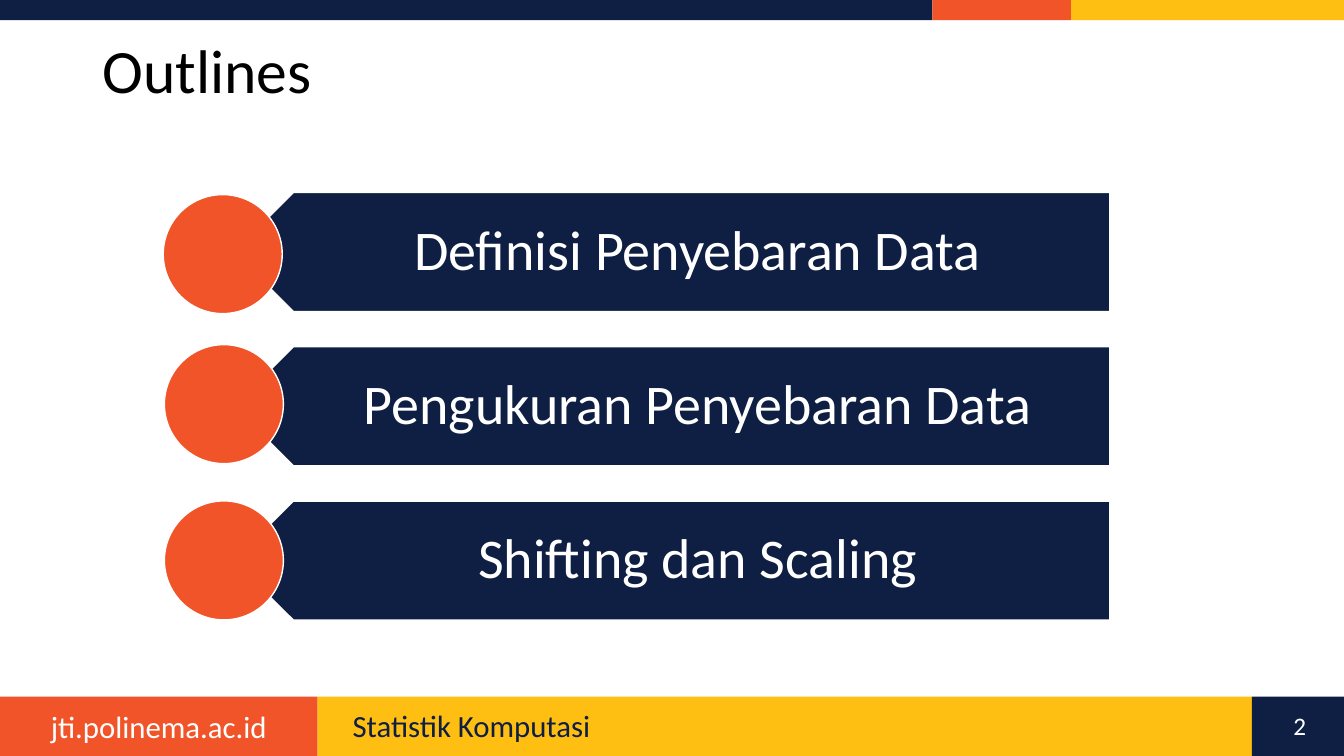
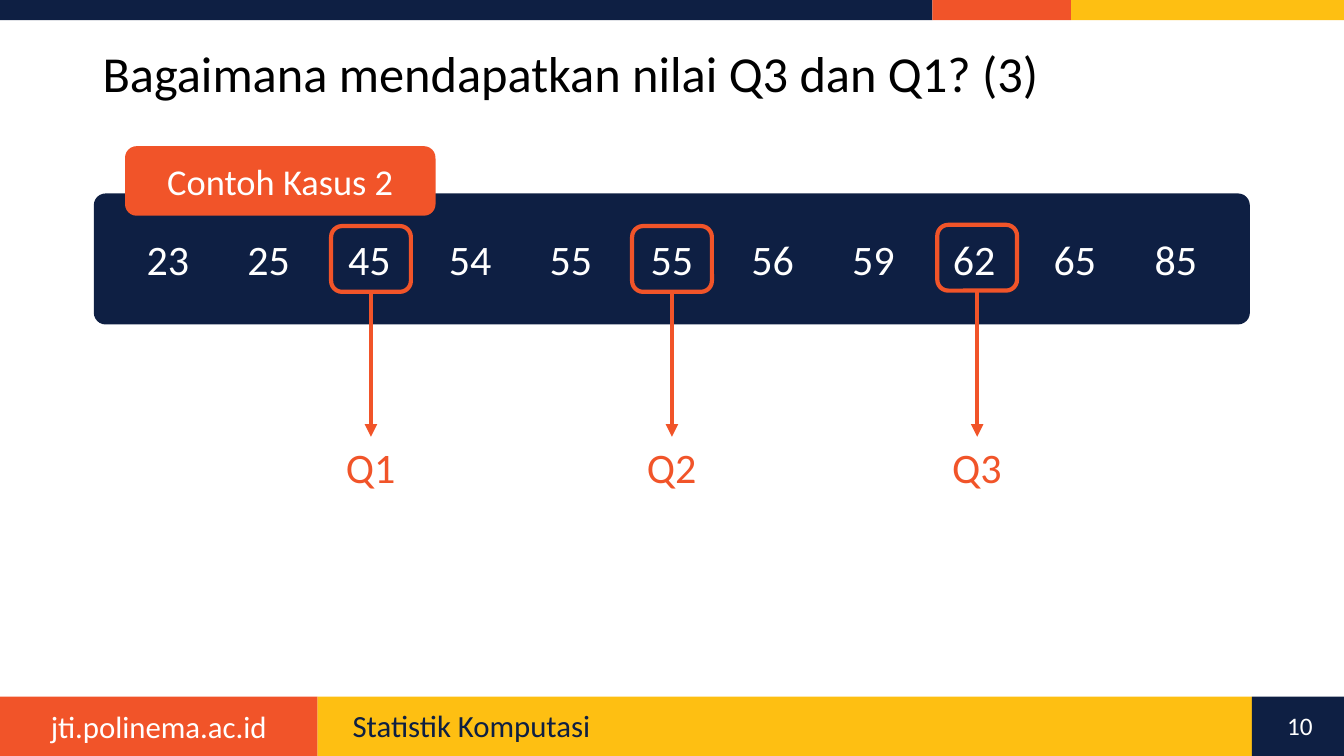
"""Builds two statistics lecture slides: an outline and a quartile example."""
from lxml import etree
from pptx import Presentation
from pptx.dml.color import RGBColor
from pptx.enum.shapes import MSO_CONNECTOR, MSO_SHAPE
from pptx.enum.text import MSO_ANCHOR, PP_ALIGN
from pptx.oxml.ns import qn
from pptx.util import Pt

RECT, ROUNDED = MSO_SHAPE.RECTANGLE, MSO_SHAPE.ROUNDED_RECTANGLE
PLATE, CIRCLE = MSO_SHAPE.PENTAGON, MSO_SHAPE.OVAL
STRAIGHT = MSO_CONNECTOR.STRAIGHT
LEFT, CENTER = PP_ALIGN.LEFT, PP_ALIGN.CENTER
TOP, MIDDLE = MSO_ANCHOR.TOP, MSO_ANCHOR.MIDDLE
NAVY, ORANGE, YELLOW = "0E1F43", "F15429", "FEBF12"
WHITE, BLACK = "FFFFFF", "000000"
FONT = "Calibri"


def add_block(slide, preset, box, fill=None, line=None, weight=1):
    """Add a preset shape with the given fill and outline."""
    block = slide.shapes.add_shape(preset, *map(Pt, box))
    block.shadow.inherit = False
    if fill:
        block.fill.solid()
        block.fill.fore_color.rgb = RGBColor.from_string(fill)
    else:
        block.fill.background()
    if line:
        block.line.color.rgb = RGBColor.from_string(line)
        block.line.width = Pt(weight)
    else:
        block.line.fill.background()
    return block


def write(shape, text, size, color, align=LEFT, anchor=TOP, spacing=1.0, wrap=True, tabs=()):
    """Write one paragraph into a shape or text box."""
    frame = shape.text_frame
    frame.word_wrap = wrap
    frame.vertical_anchor = anchor
    paragraph = frame.paragraphs[0]
    paragraph.alignment = align
    paragraph.line_spacing = spacing
    if tabs:
        stops = etree.SubElement(paragraph._p.get_or_add_pPr(), qn("a:tabLst"))
        for position in tabs:
            etree.SubElement(stops, qn("a:tab"), pos=str(Pt(position)), algn="l")
    run = paragraph.add_run()
    run.text = text
    run.font.name = FONT
    run.font.size = Pt(size)
    run.font.color.rgb = RGBColor.from_string(color)
    return frame


prs = Presentation()
prs.slide_width, prs.slide_height = Pt(960), Pt(540)

BANDS = [
    (0, 0, 666, 14.4, NAVY),
    (666, 0, 99, 14.4, ORANGE),
    (765, 0, 195, 14.4, YELLOW),
    (226.8, 497.5, 667.4, 42.5, YELLOW),
    (0, 497.5, 226.8, 42.5, ORANGE),
    (894.2, 497.5, 65.8, 42.5, NAVY),
]
HEADINGS = [
    ("Outlines", 44, 47.5, "2"),
    ("Bagaimana mendapatkan nilai Q3 dan Q1? (3)", 36, 51, "10"),
]

slides = []
for heading, heading_size, heading_height, number in HEADINGS:
    slide = prs.slides.add_slide(prs.slide_layouts[6])
    slides.append(slide)
    for *box, color in BANDS:
        add_block(slide, RECT, box, color)
    site = slide.shapes.add_textbox(Pt(0), Pt(501.8), Pt(226.8), Pt(33.8))
    write(site, "jti.polinema.ac.id", 22, WHITE, CENTER)
    course = slide.shapes.add_textbox(Pt(244.8), Pt(504), Pt(629.3), Pt(28.8))
    write(course, "Statistik Komputasi", 22, NAVY, spacing=0.9)
    page = slide.shapes.add_textbox(Pt(906.5), Pt(504), Pt(43.9), Pt(28.8))
    write(page, number, 18, WHITE, CENTER)
    title = slide.shapes.add_textbox(Pt(66.2), Pt(28.8), Pt(737.3), Pt(heading_height))
    write(title, heading, heading_size, BLACK, anchor=MIDDLE, spacing=0.9)

outline, quartiles = slides

TOPICS = [
    ("Definisi Penyebaran Data", 116.6, 139),
    ("Pengukuran Penyebaran Data", 117.4, 246.2),
    ("Shifting dan Scaling", 117.4, 357.8),
]
for index, (topic, dot_left, dot_top) in enumerate(TOPICS):
    top = 137.5 + index * 110.2
    plate = add_block(outline, PLATE, (167, top, 625.7, 85), NAVY, WHITE)
    plate.rotation = 180
    label = outline.shapes.add_textbox(Pt(188.6), Pt(top), Pt(604.1), Pt(85))
    frame = write(label, topic, 40, WHITE, CENTER, MIDDLE, 0.9)
    frame.margin_left, frame.margin_right = Pt(37.4), Pt(22.3)
    frame.margin_top = frame.margin_bottom = Pt(12.2)
    add_block(outline, CIRCLE, (dot_left, dot_top, 85, 85), ORANGE, WHITE)

VALUES = [23, 25, 45, 54, 55, 55, 56, 59, 62, 65, 85]
data_panel = add_block(quartiles, ROUNDED, (67, 138.2, 825.8, 93.6), NAVY)
data_panel.adjustments[0] = 0.09
write(data_panel, "\t".join(map(str, VALUES)), 30, WHITE, CENTER, MIDDLE,
      tabs=[72 * step for step in range(1, len(VALUES))])
case_tag = add_block(quartiles, ROUNDED, (89.3, 104.4, 221.8, 49.7), ORANGE)
write(case_tag, "Contoh Kasus 2", 26, WHITE, CENTER, MIDDLE)

for name, center, top in [("Q1", 265, 161.5), ("Q2", 480, 161.5), ("Q3", 698, 160.6)]:
    marker = add_block(quartiles, ROUNDED, (center - 28.5, top, 57, 47), None, ORANGE, 3)
    quartile = quartiles.shapes.add_textbox(Pt(center - 25), Pt(312), Pt(50), Pt(44))
    write(quartile, name, 30, ORANGE, wrap=False)
    arrow = quartiles.shapes.add_connector(STRAIGHT, Pt(center), Pt(top + 47), Pt(center), Pt(312))
    arrow.begin_connect(marker, 2)
    arrow.end_connect(quartile, 0)
    arrow.line.color.rgb = RGBColor.from_string(ORANGE)
    arrow.line.width = Pt(3)
    etree.SubElement(arrow.line._get_or_add_ln(), qn("a:tailEnd"), type="triangle")
    etree.SubElement(arrow._element.spPr, qn("a:effectLst"))

prs.save("out.pptx")
